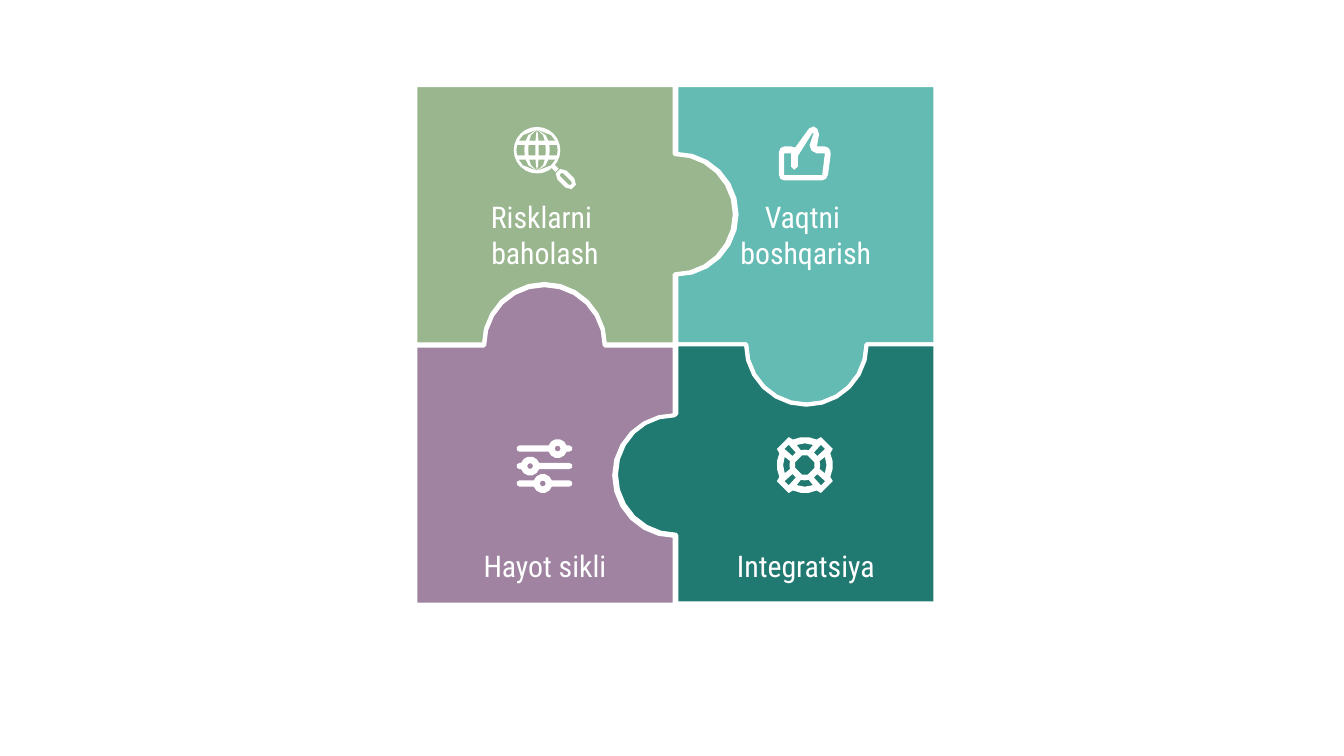
from math import asin, cos, degrees, radians, sin, sqrt

from pptx import Presentation
from pptx.dml.color import RGBColor
from pptx.enum.text import MSO_ANCHOR, PP_ALIGN
from pptx.util import Cm, Pt

COLORS = {"green": "99B68E", "aqua": "64BBB3", "teal": "217A72",
          "purple": "9F83A1", "white": "FFFFFF"}
FONT = "Roboto Condensed"
SIDE, TAB_RADIUS, TAB_CENTER = 4.9, 1.14, 2.46

PIECES = [
    ("green", (12.75, 6.51)),
    ("aqua", (12.78, 6.51)),
    ("teal", (12.78, 6.51)),
    ("purple", (12.75, 6.53)),
]
LABELS = [
    (["Risklarni ", "baholash"], 7.85, 4.04),
    (["Vaqtni ", "boshqarish"], 12.78, 4.04),
    (["Integratsiya"], 12.78, 9.96),
    (["Hayot sikli"], 7.85, 9.96),
]
THUMB_OUTLINE = [
    (0.1, 1.02), (0.82, 1.02), (0.89, 0.99), (0.93, 0.91), (0.98, 0.53),
    (0.97, 0.45), (0.93, 0.4), (0.87, 0.38), (0.72, 0.38), (0.76, 0.15),
    (0.73, 0.05), (0.66, 0), (0.57, 0.04), (0.31, 0.4), (0.23, 0.38),
    (0.1, 0.38), (0.03, 0.41), (0, 0.49), (0, 0.91), (0.03, 0.99),
]
THUMB_HOLE = [
    (0.1, 0.92), (0.82, 0.92), (0.87, 0.51), (0.72, 0.51), (0.62, 0.46),
    (0.58, 0.36), (0.66, 0.12), (0.63, 0.13), (0.36, 0.56), (0.36, 0.76),
    (0.29, 0.82), (0.23, 0.76), (0.23, 0.51), (0.1, 0.51),
]
SLIDER_KNOBS = [(0.25, -0.33), (-0.27, 0), (-0.03, 0.33)]
GLOBE_ROWS = [(-0.39, -0.18), (-0.1, 0.1), (0.18, 0.39)]
GLOBE_COLUMNS = [(0.03, 0.165), (0.24, 0.39)]
GLOBE_NECK = [(0.34, 0.28), (0.41, 0.35), (0.35, 0.41), (0.28, 0.34)]


def color(name):
    return RGBColor.from_string(COLORS[name])


def arc(x, y, radius, start, end, steps):
    angles = [radians(start + (end - start) * i / steps) for i in range(steps + 1)]
    return [(x + radius * cos(a), y + radius * sin(a)) for a in angles]


def circle(x, y, radius, steps):
    return arc(x, y, radius, 0, 360, steps)[:-1]


def add_outline(shapes, contours, origin, fill, line=None):
    placed = [[(Cm(origin[0] + x), Cm(origin[1] + y)) for x, y in contour]
              for contour in contours]
    builder = shapes.build_freeform(*placed[0][0], scale=1.0)
    for index, points in enumerate(placed):
        if index:
            builder.move_to(*points[0])
        builder.add_line_segments(points[1:], close=True)
    shape = builder.convert_to_shape()
    shape.shadow.inherit = False
    shape.fill.solid()
    shape.fill.fore_color.rgb = color(fill)
    if line:
        shape.line.color.rgb = color(line)
        shape.line.width = Pt(2.25)
    else:
        shape.line.fill.background()


def puzzle_piece(quarter_turns):
    points = [(-SIDE, 0), (-SIDE, -SIDE), (0, -SIDE)]
    points += arc(0, -TAB_CENTER, TAB_RADIUS, -90, 90, 12)
    points += [(0, 0)]
    points += arc(-TAB_CENTER, 0, TAB_RADIUS, 0, -180, 12)
    for _ in range(quarter_turns):
        points = [(-y, x) for x, y in points]
    return points


def globe_cell(inner, outer, top, bottom, side):
    heights = [top, (top + bottom) / 2, bottom]

    def edge(radius):
        return [(side * radius * sqrt(max(0, 1 - (y / 0.39) ** 2)), y) for y in heights]

    return edge(inner) + edge(outer)[::-1]


def capsule(radius):
    return arc(0.47, 0.47, radius, 135, 315, 3) + arc(0.62, 0.62, radius, -45, 135, 3)


def globe():
    cells = [globe_cell(*column, *row, side)
             for row in GLOBE_ROWS for column in GLOBE_COLUMNS for side in (-1, 1)]
    return [circle(0, 0, 0.44, 24), *cells, GLOBE_NECK, capsule(0.12), capsule(0.04)]


def sliders():
    contours = []
    meet = degrees(asin(0.06 / 0.18))
    for x, y in SLIDER_KNOBS:
        contours.append(arc(-0.47, y, 0.06, 90, 270, 3)
                        + arc(x, y, 0.18, 180 + meet, 360 - meet, 5)
                        + arc(0.47, y, 0.06, -90, 90, 3)
                        + arc(x, y, 0.18, meet, 180 - meet, 5))
        contours.append(circle(x, y, 0.055, 8))
    return contours


def slot(angle, outer, outer_half, inner, inner_half, steps):
    return (arc(0, 0, outer, angle - outer_half, angle + outer_half, steps)
            + arc(0, 0, inner, angle + inner_half, angle - inner_half, steps))


def lifebuoy():
    rim, hub, slots = [], [], []
    for angle in range(0, 360, 90):
        rim += arc(0, 0, 0.53, angle - 25, angle + 25, 3)
        rim += arc(0, 0, 0.61, angle + 30, angle + 60, 1)
        hub += arc(0, 0, 0.19, angle - 16, angle + 16, 1)
        slots.append(slot(angle, 0.41, 22, 0.29, 15, 2))
        slots.append(slot(angle + 45, 0.49, 6.5, 0.29, 9, 1))
    return [rim, hub, *slots]


def add_label(shapes, lines, left, top):
    box = shapes.add_textbox(Cm(left), Cm(top), Cm(SIDE), Cm(1.12))
    frame = box.text_frame
    frame.word_wrap = True
    frame.vertical_anchor = MSO_ANCHOR.BOTTOM
    frame.margin_left = frame.margin_right = Cm(0.1)
    frame.margin_top = frame.margin_bottom = Cm(0.05)
    for index, text in enumerate(lines):
        paragraph = frame.add_paragraph() if index else frame.paragraphs[0]
        paragraph.alignment = PP_ALIGN.CENTER
        run = paragraph.add_run()
        run.text = text
        run.font.name = FONT
        run.font.size = Pt(16)
        run.font.color.rgb = color("white")


def main():
    presentation = Presentation()
    presentation.slide_width, presentation.slide_height = Cm(25.4), Cm(14.29)
    slide = presentation.slides.add_slide(presentation.slide_layouts[6])
    shapes = slide.shapes
    for turns, (fill, corner) in enumerate(PIECES):
        add_outline(shapes, [puzzle_piece(turns)], corner, fill, "white")
    for label in LABELS:
        add_label(shapes, *label)
    icons = [
        (globe(), (10.15, 2.84)),
        ([THUMB_OUTLINE, THUMB_HOLE], (14.72, 2.39)),
        (lifebuoy(), (15.21, 8.79)),
        (sliders(), (10.29, 8.81)),
    ]
    for contours, origin in icons:
        add_outline(shapes, contours, origin, "white")
    presentation.save("out.pptx")


if __name__ == "__main__":
    main()
